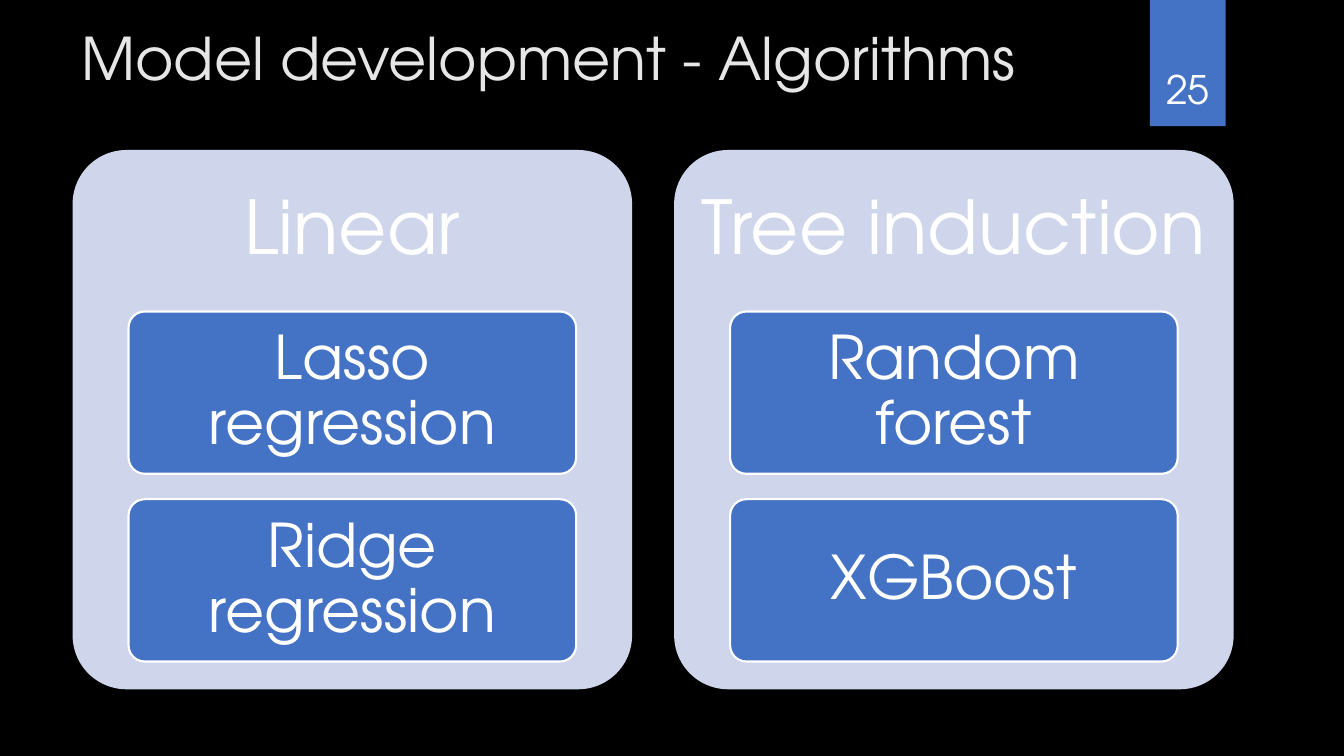
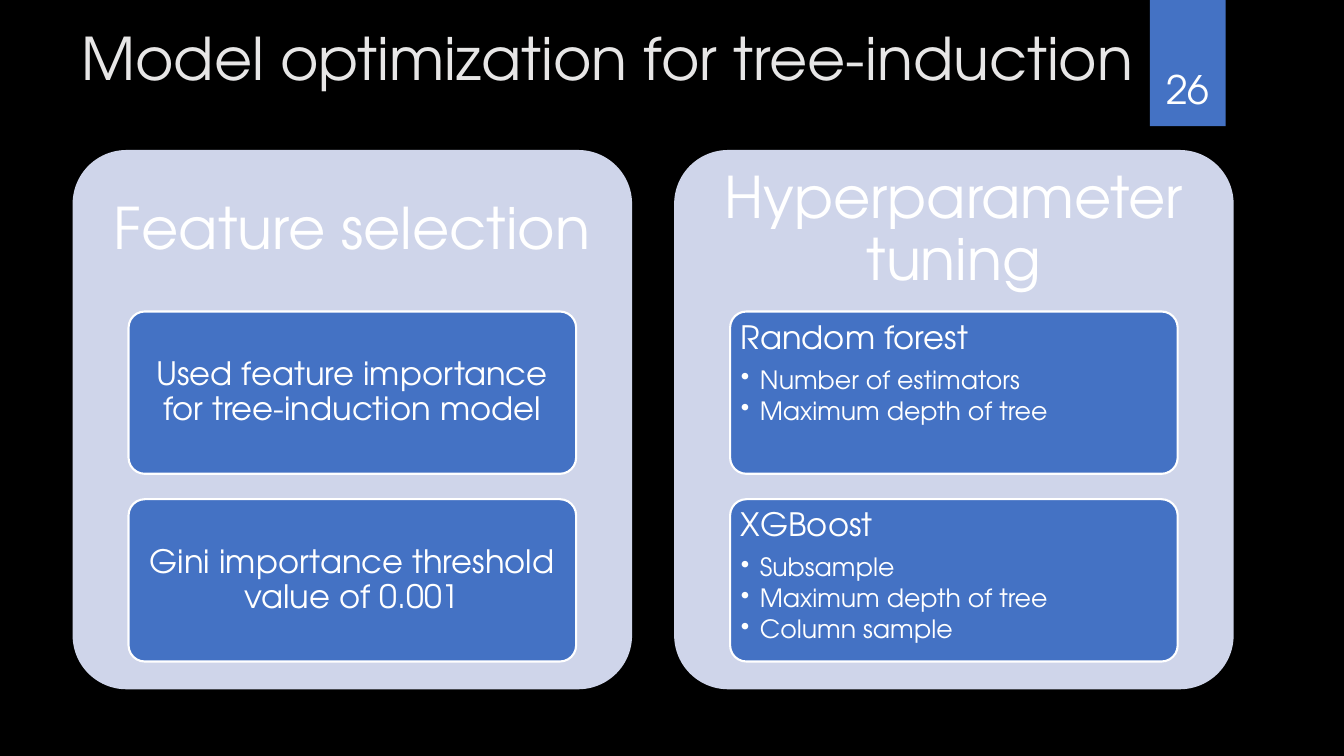
from lxml import etree
from pptx import Presentation
from pptx import util as u
from pptx.dml.color import RGBColor
from pptx.enum import shapes, text
from pptx.oxml.ns import qn

FONT = "TeX Gyre Adventor"
BLACK, WHITE, GREY = "000000", "FFFFFF", "E7E6E6"
BLUE, PALE = "4472C4", "CFD5EA"

CARD_LEFT, CARD_TOP, CARD_W, CARD_H, CARD_PITCH = 1.83, 3.78, 14.1, 13.59, 15.16
HEAD_H = 4.07
BOX_INDENT, BOX_TOP, BOX_W, BOX_H, BOX_PITCH = 1.41, 7.85, 11.28, 4.09, 4.73
BULLET_INDENT = 0.48

ALGORITHMS = [
    ("Linear", [["Lasso regression"], ["Ridge regression"]]),
    ("Tree induction", [["Random forest"], ["XGBoost"]]),
]
OPTIMIZATION = [
    ("Feature selection", [
        ["Used feature importance for tree-induction model"],
        ["Gini importance threshold value of 0.001"],
    ]),
    ("Hyperparameter tuning", [
        ["Random forest", "Number of estimators", "Maximum depth of tree"],
        ["XGBoost", "Subsample", "Maximum depth of tree", "Column sample"],
    ]),
]


def paint(fmt, color):
    """Give a fill or a font a solid colour from a hex string."""
    if hasattr(fmt, "solid"):
        fmt.solid()
        fmt.fore_color.rgb = RGBColor.from_string(color)
    else:
        fmt.color.rgb = RGBColor.from_string(color)


def place(sp, left, top, width, height):
    """Set the position and size of a shape in centimetres."""
    sp.left, sp.top = u.Cm(left), u.Cm(top)
    sp.width, sp.height = u.Cm(width), u.Cm(height)


def set_frame(tf, anchor, inset_x, inset_y):
    """Set wrapping, anchor and insets of a text frame."""
    tf.word_wrap = True
    tf.auto_size = text.MSO_AUTO_SIZE.NONE
    tf.vertical_anchor = anchor
    tf.margin_left = tf.margin_right = u.Cm(inset_x)
    tf.margin_top = tf.margin_bottom = u.Cm(inset_y)


def add_run(p, words, size, color=WHITE):
    """Add a run in the deck font."""
    r = p.add_run()
    r.text = words
    r.font.name = FONT
    r.font.size = u.Pt(size)
    paint(r.font, color)


def write(p, words, size, align, after=0.35):
    """Fill a diagram paragraph, with spacing in proportion to its size."""
    p.alignment = align
    p.line_spacing = 0.9
    p.space_after = u.Pt(round(size * after, 1))
    add_run(p, words, size)


def add_bullet(p):
    """Give a paragraph a hanging round bullet."""
    pPr = p._p.get_or_add_pPr()
    pPr.set("marL", str(u.Cm(BULLET_INDENT)))
    pPr.set("indent", str(-u.Cm(BULLET_INDENT)))
    etree.SubElement(pPr, qn("a:buChar")).set("char", "•")


def add_panel(slide, kind, fill, left, top, width, height):
    """Add a flat filled shape without outline."""
    sp = slide.shapes.add_shape(kind, *map(u.Cm, (left, top, width, height)))
    sp.shadow.inherit = False
    paint(sp.fill, fill)
    sp.line.fill.background()
    return sp


def add_rounded(slide, fill, left, top, width, height):
    """Add a rounded panel."""
    sp = add_panel(slide, shapes.MSO_SHAPE.ROUNDED_RECTANGLE, fill, left, top, width, height)
    sp.adjustments[0] = 0.1
    return sp


def add_box(slide, left, top, lines, size, inset):
    """Add an outlined box with a centred line or a bulleted list."""
    sp = add_rounded(slide, BLUE, left, top, BOX_W, BOX_H)
    paint(sp.line.fill, WHITE)
    sp.line.width = u.Pt(1.5)
    tf = sp.text_frame
    head, *items = lines
    anchor = text.MSO_ANCHOR.TOP if items else text.MSO_ANCHOR.MIDDLE
    set_frame(tf, anchor, *inset)
    align = text.PP_ALIGN.LEFT if items else text.PP_ALIGN.CENTER
    write(tf.paragraphs[0], head, size, align)
    for item in items:
        p = tf.add_paragraph()
        write(p, item, 18, align, 0.15)
        add_bullet(p)


def add_card(slide, left, heading, boxes, head_size, head_inset, box_size, box_inset):
    """Add a card with a heading and a stack of boxes."""
    add_rounded(slide, PALE, left, CARD_TOP, CARD_W, CARD_H)
    sp = slide.shapes.add_textbox(*map(u.Cm, (left, CARD_TOP, CARD_W, HEAD_H)))
    set_frame(sp.text_frame, text.MSO_ANCHOR.MIDDLE, head_inset, head_inset)
    write(sp.text_frame.paragraphs[0], heading, head_size, text.PP_ALIGN.CENTER)
    for row, lines in enumerate(boxes):
        add_box(slide, left + BOX_INDENT, BOX_TOP + row * BOX_PITCH, lines, box_size, box_inset)


def add_number_tab(slide, number):
    """Add the blue tab that carries the slide number."""
    sp = add_panel(slide, shapes.MSO_SHAPE.RECTANGLE, BLUE, 28.98, 0, 1.91, 3.18)
    tf = sp.text_frame
    set_frame(tf, text.MSO_ANCHOR.BOTTOM, 0, 0.36)
    p = tf.paragraphs[0]
    p.alignment = text.PP_ALIGN.CENTER
    add_run(p, str(number), 28)


def add_slide(prs, number, title, title_width, cards, **style):
    """Add a titled slide with a row of cards."""
    slide = prs.slides.add_slide(prs.slide_layouts[5])
    add_number_tab(slide, number)
    sp = slide.shapes.title
    place(sp, 1.8, 0.41, title_width, 3.18)
    set_frame(sp.text_frame, text.MSO_ANCHOR.TOP, 0.25, 0.13)
    p = sp.text_frame.paragraphs[0]
    p.alignment = text.PP_ALIGN.LEFT
    add_run(p, title, 42, GREY)
    for column, (heading, boxes) in enumerate(cards):
        add_card(slide, CARD_LEFT + column * CARD_PITCH, heading, boxes, **style)


def main():
    """Build and save the deck."""
    prs = Presentation()
    prs.slide_width, prs.slide_height = u.Cm(33.87), u.Cm(19.05)
    paint(prs.slide_master.background.fill, BLACK)
    add_slide(prs, 25, "Model development - Algorithms", 26.14, ALGORITHMS,
              head_size=53, head_inset=0.56, box_size=43, box_inset=(0.3, 0.23))
    add_slide(prs, 26, "Model optimization for tree-induction", 28.19, OPTIMIZATION,
              head_size=41, head_inset=0.43, box_size=23, box_inset=(0.15, 0.13))
    prs.save("out.pptx")


if __name__ == "__main__":
    main()
